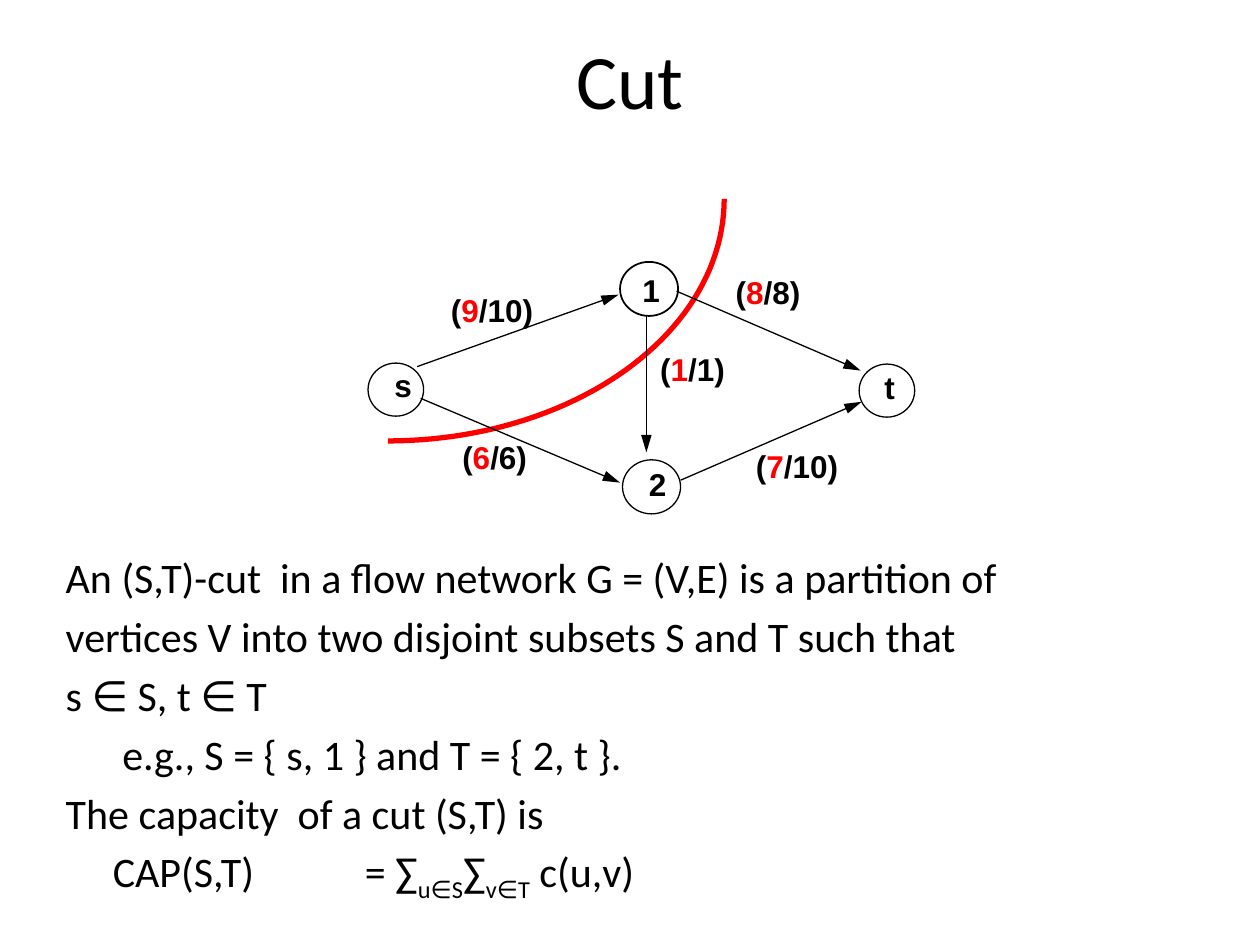
from dataclasses import dataclass
from math import cos, pi, sin

from pptx import Presentation
from pptx.dml.color import RGBColor
from pptx.enum.shapes import MSO_CONNECTOR, MSO_SHAPE
from pptx.enum.text import MSO_ANCHOR, MSO_AUTO_SIZE, PP_ALIGN
from pptx.oxml.ns import qn
from pptx.util import Cm, Pt
from lxml.etree import SubElement


@dataclass(frozen=True)
class Theme:
    ink = RGBColor(0, 0, 0)
    paper = RGBColor(255, 255, 255)
    accent = RGBColor(255, 0, 0)
    text_font = "Calibri"
    graph_font = "Arial"
    title_size = Pt(44)
    body_size = Pt(24)
    graph_size = Pt(18)


THEME = Theme()

# name: left, top, width, height, name left, name top, outline (cm, pt)
NODES = {
    "s": (7.42, 7.32, 1.12, 1.07, 7.95, 7.37, 0.75),
    "1": (12.5, 5.28, 1.17, 1.09, 12.95, 5.46, 1),
    "2": (12.55, 9.27, 1.17, 1.09, 13.08, 9.37, 0.75),
    "t": (17.32, 7.34, 1.12, 1.07, 17.83, 7.42, 0.75),
}
# start, end, line width, flow, capacity, label left, label top, label width
EDGES = [
    ((8.41, 7.39), (12.47, 5.94), 0.75, "9", "10", 9.09, 5.87, 1.7),
    ((8.48, 8.03), (12.5, 9.73), 0.75, "6", "6", 9.32, 8.84, 1.4),
    ((13.64, 5.87), (17.35, 7.47), 0.75, "8", "8", 14.83, 5.51, 1.4),
    ((13.72, 9.68), (17.37, 8.1), 0.75, "7", "10", 15.24, 9.02, 1.7),
    ((13.03, 6.38), (13.03, 9.12), 1, "1", "1", 13.31, 7.06, 1.4),
]
# Each line is a list of (text, is subscript)
DEFINITION = [
    [("An (S,T)-cut  in a flow network G = (V,E) is a partition of", False)],
    [("vertices V into two disjoint subsets S and T such that", False)],
    [("s ∈ S, t ∈ T", False)],
    [("\t e.g., S = { s, 1 } and T = { 2, t }.", False)],
    [("The capacity  of a cut (S,T) is", False)],
    [("\tCAP(S,T) \t= ∑", False), ("u∈S", True), ("∑", False),
     ("v∈T", True), (" c(u,v)", False)],
]


def place(shape, left, top, width, height):
    shape.left, shape.top = Cm(left), Cm(top)
    shape.width, shape.height = Cm(width), Cm(height)


def style_font(font, name, size, color=THEME.ink, bold=False):
    font.name, font.size, font.bold = name, size, bold
    font.color.rgb = color


def add_title(slide):
    title = slide.shapes.title
    place(title, 1.27, 0, 22.86, 3.18)
    title.text_frame.text = "Cut"
    title.text_frame.vertical_anchor = MSO_ANCHOR.MIDDLE
    line = title.text_frame.paragraphs[0]
    line.alignment = PP_ALIGN.CENTER
    style_font(line.runs[0].font, THEME.text_font, THEME.title_size)


def set_hanging_indent(paragraph, indent, tab_spacing):
    """Remove the bullet, hang the first line and space the default tabs."""
    properties = paragraph._p.get_or_add_pPr()
    properties.set("marL", str(Cm(indent)))
    properties.set("indent", str(-Cm(indent)))
    properties.set("defTabSz", str(Cm(tab_spacing)))
    SubElement(properties, qn("a:buNone"))


def add_definition(slide):
    body = slide.placeholders[1]
    place(body, 1.07, 11, 23.5, 7.19)
    frame = body.text_frame
    frame.auto_size = MSO_AUTO_SIZE.NONE
    for index, parts in enumerate(DEFINITION):
        line = frame.add_paragraph() if index else frame.paragraphs[0]
        set_hanging_indent(line, 0.95, 2.54)
        line.space_before = Pt(4.8 if index else 0)
        for text, is_subscript in parts:
            run = line.add_run()
            run.text = text
            style_font(run.font, THEME.text_font, THEME.body_size)
            if is_subscript:
                run.font._element.set("baseline", "-25000")


def add_cut_curve(slide, left, top, width, height, steps=48):
    """Draw a quarter ellipse from lower left to upper right."""
    angles = [pi / 2 * (1 - step / steps) for step in range(steps + 1)]
    points = [(Cm(left + width * cos(a)), Cm(top + height * sin(a)))
              for a in angles]
    builder = slide.shapes.build_freeform(*points[0])
    builder.add_line_segments(points[1:], close=False)
    curve = builder.convert_to_shape()
    curve.shadow.inherit = False
    curve.fill.background()
    curve.line.color.rgb = THEME.accent
    curve.line.width = Pt(3)


def add_graph_text(slide, left, top, width, parts):
    """Add bold text made of (text, color) parts."""
    frame = slide.shapes.add_textbox(
        Cm(left), Cm(top), Cm(width), Cm(0.76)).text_frame
    frame.word_wrap = False
    frame.auto_size = MSO_AUTO_SIZE.SHAPE_TO_FIT_TEXT
    frame.margin_left = frame.margin_right = 0
    frame.margin_top = frame.margin_bottom = 0
    for text, color in parts:
        run = frame.paragraphs[0].add_run()
        run.text = text
        style_font(run.font, THEME.graph_font, THEME.graph_size, color, True)


def add_node(slide, name, left, top, width, height, name_left, name_top, outline):
    circle = slide.shapes.add_shape(
        MSO_SHAPE.OVAL, Cm(left), Cm(top), Cm(width), Cm(height))
    circle.shadow.inherit = False
    circle.fill.solid()
    circle.fill.fore_color.rgb = THEME.paper
    circle.line.color.rgb = THEME.ink
    circle.line.width = Pt(outline)
    add_graph_text(slide, name_left, name_top, 0.36, [(name, THEME.ink)])


def add_arrow(slide, start, end, width):
    arrow = slide.shapes.add_connector(
        MSO_CONNECTOR.STRAIGHT, *map(Cm, start + end))
    arrow.line.color.rgb = THEME.ink
    arrow.line.width = Pt(width)
    SubElement(arrow.line._get_or_add_ln(), qn("a:tailEnd"),
               type="triangle", w="med", len="lg")
    SubElement(arrow._element.spPr, qn("a:effectLst"))


def add_edge(slide, start, end, width, flow, capacity, left, top, label_width):
    add_arrow(slide, start, end, width)
    add_graph_text(slide, left, top, label_width, [
        ("(", THEME.ink), (flow, THEME.accent), (f"/{capacity})", THEME.ink)])


def main():
    deck = Presentation()
    deck.slide_width, deck.slide_height = Cm(25.4), Cm(19.05)
    slide = deck.slides.add_slide(deck.slide_layouts[1])
    add_title(slide)
    add_definition(slide)
    add_cut_curve(slide, 7.82, 4.01, 6.78, 4.88)
    for name, layout in NODES.items():
        add_node(slide, name, *layout)
    for edge in EDGES:
        add_edge(slide, *edge)
    deck.save("out.pptx")


if __name__ == "__main__":
    main()
